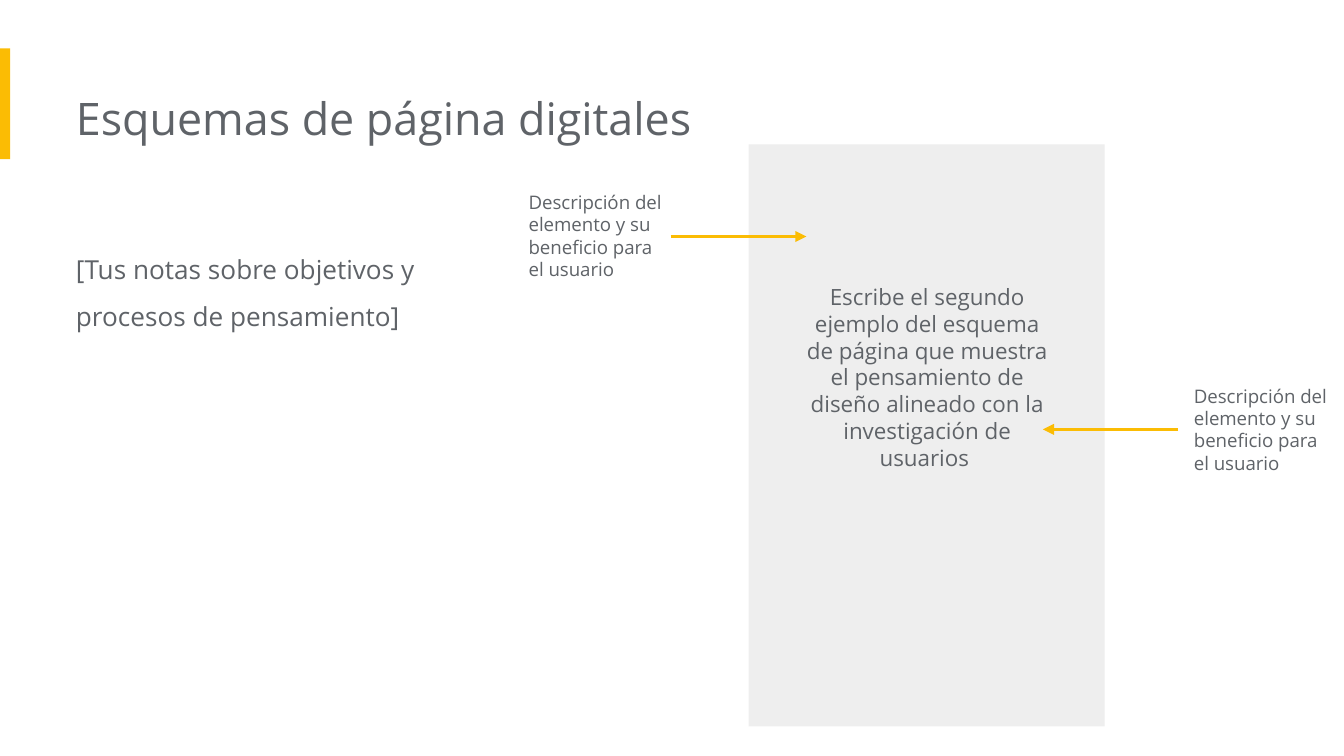
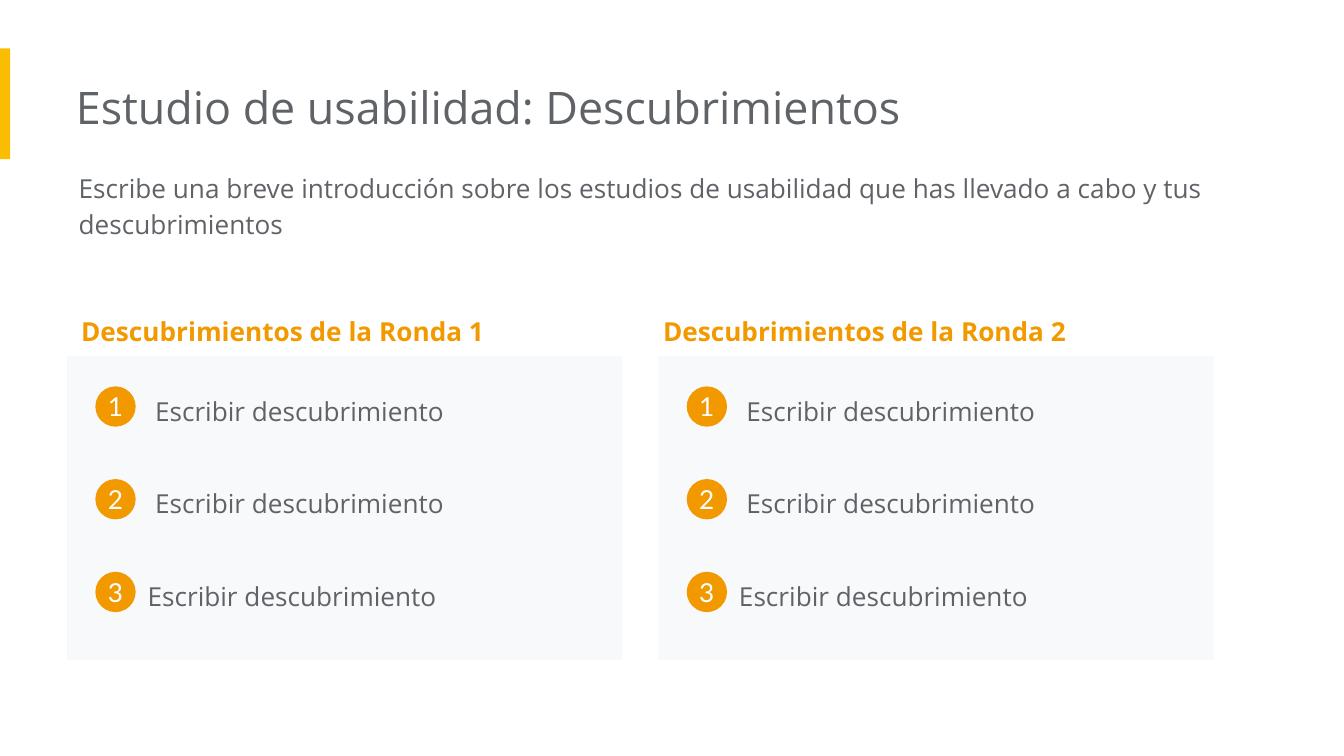
from dataclasses import dataclass

from lxml.etree import SubElement
from pptx import Presentation
from pptx.dml.color import RGBColor
from pptx.enum.shapes import MSO_CONNECTOR, MSO_SHAPE
from pptx.enum.text import MSO_ANCHOR, MSO_AUTO_SIZE, PP_ALIGN
from pptx.oxml.ns import qn
from pptx.presentation import Presentation as Deck
from pptx.shapes.autoshape import Shape
from pptx.slide import Slide
from pptx.util import Emu, Pt

PIXEL = 4572  # 200 px to the inch
PAGE_WIDTH, PAGE_HEIGHT = 2000, 1125
INSET = 20

GREY = "5F6368"
YELLOW = "FBBC04"
ORANGE = "F29900"
WIREFRAME = "EEEEEE"
PANEL = "F8F9FA"
WHITE = "FFFFFF"


@dataclass(frozen=True)
class Box:
    left: int
    top: int
    width: int
    height: int


@dataclass(frozen=True)
class TextStyle:
    size: int
    color: str = GREY
    font: str = "Open Sans"
    bold: bool = False
    align: PP_ALIGN = PP_ALIGN.LEFT
    spacing: float = 1.0
    left_inset: int = INSET


@dataclass(frozen=True)
class Callout:
    """A description with an arrow that points into the wireframe."""
    box: Box
    arrow_start: int
    arrow_end: int
    arrow_top: int


@dataclass(frozen=True)
class Round:
    heading: str
    heading_left: int
    panel_left: int


TITLE = TextStyle(24, left_inset=0)
NOTES = TextStyle(14, spacing=1.5, left_inset=0)
INTRODUCTION = TextStyle(14, spacing=1.15, left_inset=0)
CALLOUT = TextStyle(10)
EXAMPLE = TextStyle(12, align=PP_ALIGN.CENTER)
HEADING = TextStyle(14, ORANGE, bold=True, spacing=1.15)
FINDING = TextStyle(14, spacing=1.15)
NUMBER = TextStyle(14, WHITE, "Lato", align=PP_ALIGN.CENTER)

CALLOUTS = [
    Callout(Box(767, 264, 240, 176), 998, 1200, 352),
    Callout(Box(1757, 552, 240, 176), 1753, 1552, 639),
]
ROUNDS = [
    Round("Descubrimientos de la Ronda 1", 101, 100),
    Round("Descubrimientos de la Ronda 2", 967, 980),
]
FINDING_OFFSETS = [111, 111, 100]
FINDING_STEP = 138


def px(length: int) -> Emu:
    return Emu(length * PIXEL)


def rgb(color: str) -> RGBColor:
    return RGBColor.from_string(color)


def place(box: Box) -> tuple[Emu, Emu, Emu, Emu]:
    return px(box.left), px(box.top), px(box.width), px(box.height)


def write(shape: Shape, text: str, style: TextStyle) -> None:
    shape.text_frame.text = text
    para = shape.text_frame.paragraphs[0]
    para.alignment = style.align
    para.line_spacing = style.spacing
    for span in para.runs:
        span.font.name = style.font
        span.font.size = Pt(style.size)
        span.font.bold = style.bold
        span.font.color.rgb = rgb(style.color)


def set_insets(shape: Shape, left: int, other: int) -> None:
    frame = shape.text_frame
    frame.margin_left = px(left)
    frame.margin_top = frame.margin_right = frame.margin_bottom = px(other)


def add_text(page: Slide, box: Box, text: str, style: TextStyle) -> None:
    shape = page.shapes.add_textbox(*place(box))
    shape.text_frame.word_wrap = True
    shape.text_frame.auto_size = MSO_AUTO_SIZE.SHAPE_TO_FIT_TEXT
    set_insets(shape, style.left_inset, INSET)
    write(shape, text, style)


def add_block(page: Slide, box: Box, color: str,
              kind: MSO_SHAPE = MSO_SHAPE.RECTANGLE) -> Shape:
    """Add a filled shape without outline or shadow."""
    shape = page.shapes.add_shape(kind, *place(box))
    shape.shadow.inherit = False
    shape.fill.solid()
    shape.fill.fore_color.rgb = rgb(color)
    shape.line.fill.background()
    return shape


def add_arrow(page: Slide, start: int, end: int, top: int) -> None:
    arrow = page.shapes.add_connector(
        MSO_CONNECTOR.STRAIGHT, px(start), px(top), px(end), px(top))
    arrow.line.color.rgb = rgb(YELLOW)
    arrow.line.width = Pt(1.5)
    properties = arrow.element.spPr
    SubElement(properties.find(qn("a:ln")), qn("a:tailEnd"), type="triangle")
    SubElement(properties, qn("a:effectLst"))


def add_number(page: Slide, left: int, top: int, number: int) -> None:
    circle = add_block(page, Box(left, top, 60, 60), ORANGE, MSO_SHAPE.OVAL)
    set_insets(circle, 0, 0)
    circle.text_frame.vertical_anchor = MSO_ANCHOR.MIDDLE
    write(circle, str(number), NUMBER)


def add_page(deck: Deck, title: str, title_box: Box) -> Slide:
    """Add a blank page with the side band and the title."""
    page = deck.slides.add_slide(deck.slide_layouts[6])
    page.background.fill.solid()
    page.background.fill.fore_color.rgb = rgb(WHITE)
    add_block(page, Box(0, 72, 15, 165), YELLOW)
    add_text(page, title_box, title, TITLE)
    return page


def add_round(page: Slide, findings: Round) -> None:
    left, top = findings.panel_left, 530
    add_text(page, Box(findings.heading_left, 442, 730, 88),
             findings.heading, HEADING)
    add_block(page, Box(left, top, 826, 452), PANEL)
    for index, offset in enumerate(FINDING_OFFSETS):
        row_top = top + 31 + index * FINDING_STEP
        add_text(page, Box(left + offset, row_top, 730, 88),
                 "Escribir descubrimiento", FINDING)
        add_number(page, left + 42, row_top + 14, index + 1)


def add_wireframe_page(deck: Deck) -> None:
    page = add_page(deck, "Esquemas de página digitales",
                    Box(113, 115, 1532, 122))
    add_text(page, Box(113, 334, 530, 158),
             "[Tus notas sobre objetivos y procesos de pensamiento]", NOTES)
    add_block(page, Box(1114, 215, 530, 866), WIREFRAME)
    for callout in CALLOUTS:
        add_arrow(page, callout.arrow_start, callout.arrow_end,
                  callout.arrow_top)
        add_text(page, callout.box,
                 "Descripción del elemento y su beneficio para el usuario",
                 CALLOUT)
    add_text(page, Box(1173, 401, 414, 242),
             "Escribe el segundo ejemplo del esquema de página que muestra "
             "el pensamiento de diseño alineado con la investigación de "
             "usuarios ", EXAMPLE)


def add_findings_page(deck: Deck) -> None:
    page = add_page(deck, "Estudio de usabilidad: Descubrimientos",
                    Box(113, 98, 1346, 122))
    add_text(page, Box(117, 230, 1722, 142),
             "Escribe una breve introducción sobre los estudios de "
             "usabilidad que has llevado a cabo y tus descubrimientos",
             INTRODUCTION)
    for findings in ROUNDS:
        add_round(page, findings)


def main() -> None:
    deck = Presentation()
    deck.slide_width, deck.slide_height = px(PAGE_WIDTH), px(PAGE_HEIGHT)
    add_wireframe_page(deck)
    add_findings_page(deck)
    deck.save("out.pptx")


if __name__ == "__main__":
    main()
